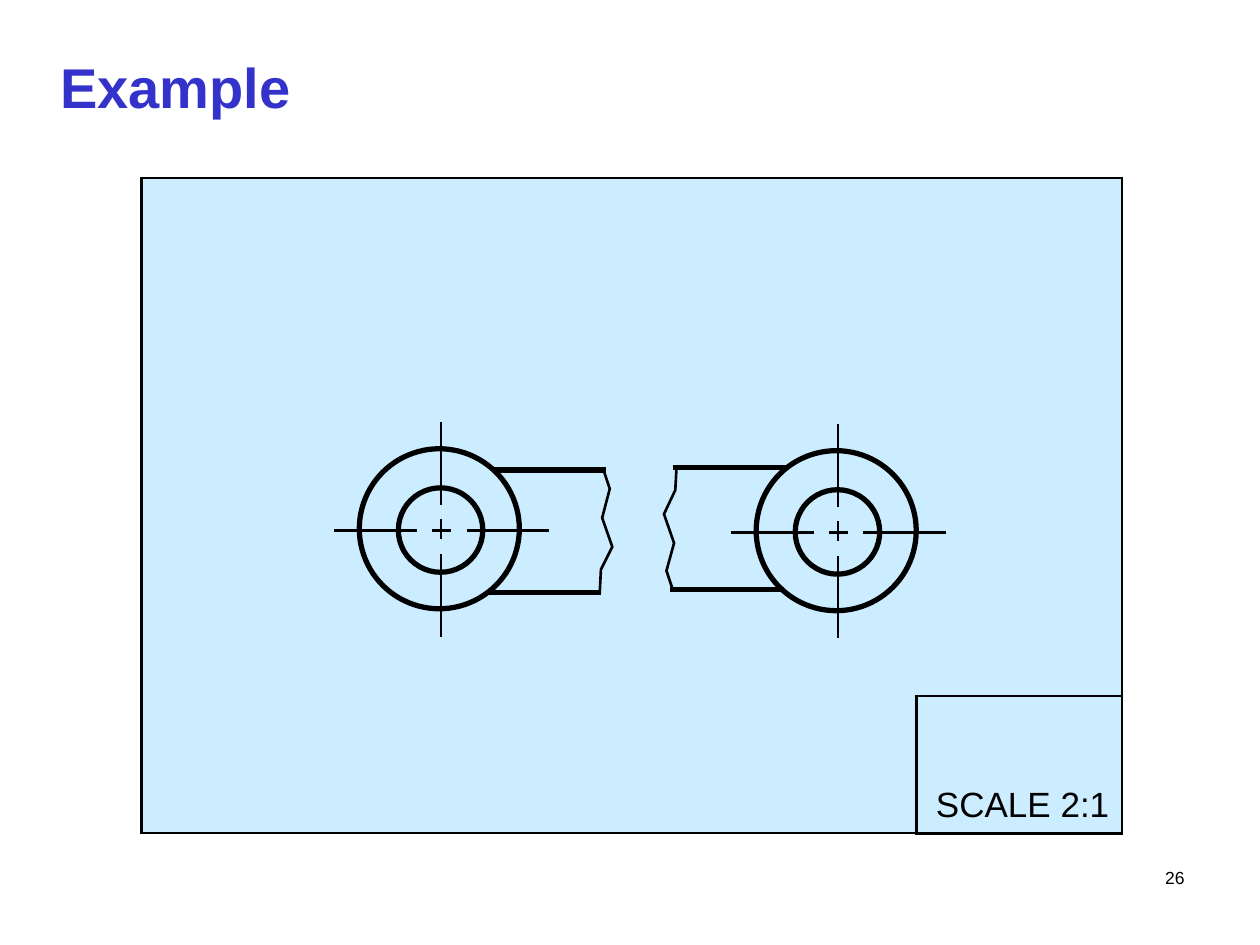
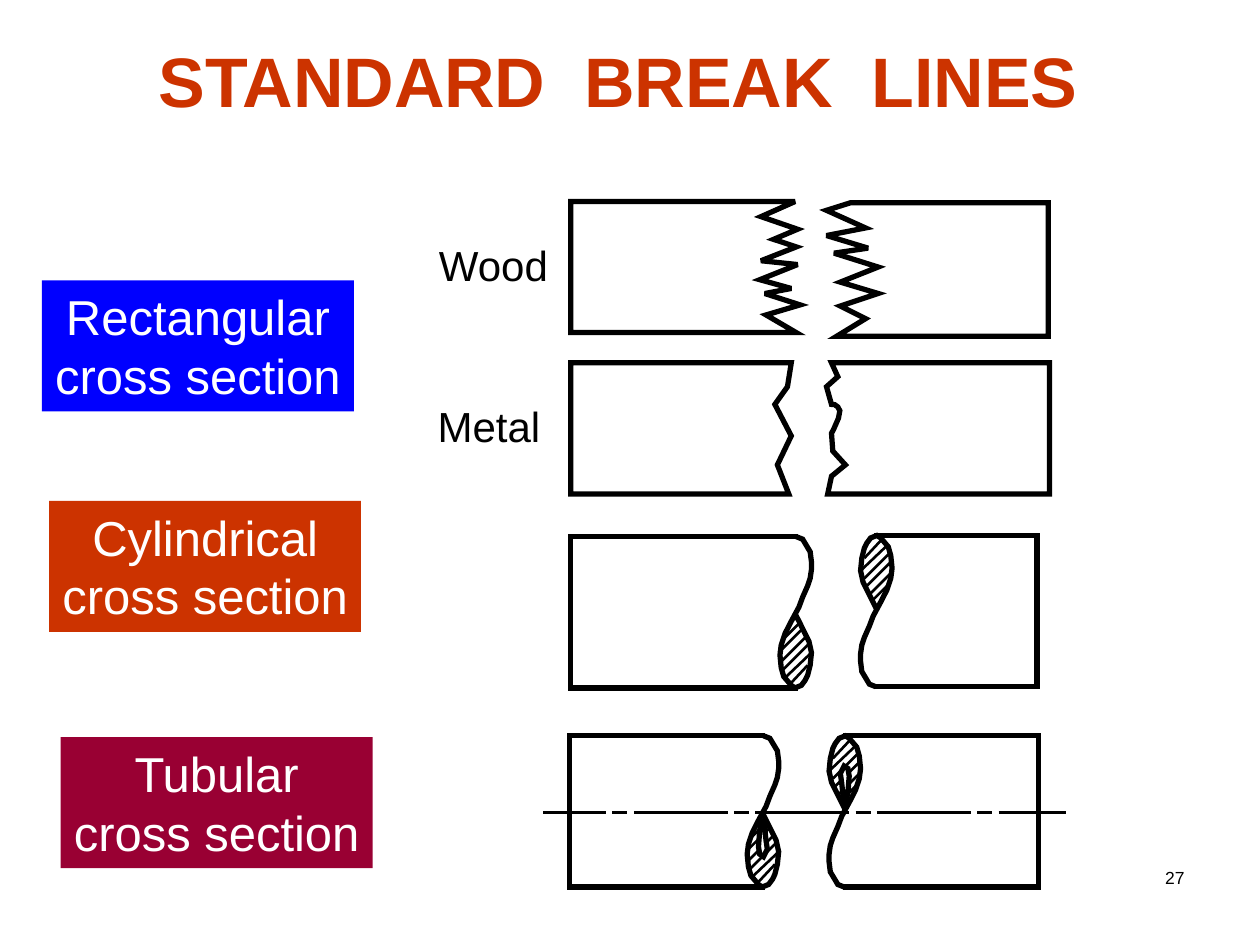
from dataclasses import dataclass

from lxml import etree
from pptx import Presentation
from pptx.dml.color import RGBColor
from pptx.enum.shapes import MSO_CONNECTOR, MSO_SHAPE
from pptx.enum.text import MSO_AUTO_SIZE, PP_ALIGN
from pptx.oxml.ns import qn
from pptx.util import Emu, Inches, Pt

RECT, OVAL = MSO_SHAPE.RECTANGLE, MSO_SHAPE.OVAL
STRAIGHT = MSO_CONNECTOR.STRAIGHT
LEFT, CENTER, RIGHT = PP_ALIGN.LEFT, PP_ALIGN.CENTER, PP_ALIGN.RIGHT
FIT, NO_FIT = MSO_AUTO_SIZE.SHAPE_TO_FIT_TEXT, MSO_AUTO_SIZE.NONE

# The slide is a grid of 100 columns by 75 rows of square cells.
COLS, ROWS = 100, 75
CELL = Inches(0.1)
THIN, THICK = 1.5, 3

COLORS = {
    "ink": "000000", "white": "FFFFFF", "sheet": "CCECFF",
    "indigo": "3333CC", "rust": "CC3300", "blue": "0000FF", "wine": "990033",
}
FORMATS = {
    "heading": {"size": Pt(32), "bold": True},
    "banner": {"size": Pt(40), "bold": True},
    "label": {"size": Pt(28)},
    "material": {"size": Pt(24)},
    "scale": {"size": Pt(20)},
    "number": {"size": Pt(10)},
}

Point = tuple[float, float]


@dataclass(frozen=True)
class Text:
    lines: tuple[str, ...]
    box: tuple[float, float, float, float]
    style: str
    color: str = "ink"
    fill: str | None = None
    align: PP_ALIGN = LEFT
    wrap: bool = False


@dataclass(frozen=True)
class Arm:
    """One end of the broken link: its hub, two edges and break line."""
    hub: Point
    edges: tuple[tuple[float, float, float], ...]
    break_line: tuple[Point, ...]


@dataclass(frozen=True)
class RoundBar:
    """Half of a broken round bar; turn is -1 for the half turned by 180 degrees."""
    center: Point
    end: float
    turn: int
    tubular: bool = False


TITLES = (
    Text(("Example",), (3.8, 3.67, 20.5, 6.4), "heading", "indigo"),
    Text(("STANDARD  BREAK  LINES",), (11.6, 2.47, 75.6, 7.7), "banner", "rust"),
)
SECTIONS = (
    ("Rectangular", 3.33, 22.25, "blue"),
    ("Cylindrical", 3.9, 39.75, "rust"),
    ("Tubular", 4.82, 58.5, "wine"),
)
MATERIALS = (
    Text(("Wood",), (33.85, 18.5, 10.9, 5), "material"),
    Text(("Metal",), (33.75, 31.3, 10.4, 5), "material"),
)
SCALE_NOTE = Text(("SCALE 2:1",), (73.3, 61.65, 16, 4.4), "scale")

ARMS = (
    Arm((35, 42.1), ((39.2, 48.1, 37.3), (38.7, 47.7, 47)),
        ((47.9, 37.3), (48.4, 38.8), (47.8, 41.1), (48.6, 43.4), (47.7, 45.2), (47.6, 47.1))),
    Arm((66.5, 42.25), ((53.4, 62.4, 37.1), (53.2, 62.2, 46.8)),
        ((53.4, 46.8), (52.9, 45.3), (53.5, 43.1), (52.7, 40.8), (53.6, 38.9), (53.7, 37))),
)
# Dashes of a hub's centre lines, measured from the centre
CROSS_DASHES = ((-8.55, -1.95), (-0.8, 0.75), (1.95, 8.5))
DASH_SHIFT = 0.08

FLAT_BARS = {
    "wood left": (
        (63.1, 16), (45.3, 16), (45.3, 26.4), (63.2, 26.4), (60.8, 25), (63.5, 24.2),
        (60.7, 23.3), (62.8, 22.9), (60.3, 22.2), (63.3, 21), (60.4, 20.7), (63.2, 19.6),
        (61.4, 19), (63.3, 18.2), (60.4, 17.2)),
    "wood right": (
        (83.2, 26.7), (66.4, 26.7), (68.7, 25.3), (66.7, 24.3), (69.7, 23.3), (66.7, 22.4),
        (69.7, 21.2), (66.2, 20.1), (68.9, 19.7), (65.6, 18.7), (68.7, 18.1), (65.6, 16.7),
        (67.5, 16.1), (83.2, 16.1)),
    "metal left": (
        (62.8, 28.8), (45.3, 28.8), (45.3, 39.2), (62.6, 39.2), (61.7, 36.9),
        (62.8, 34.6), (61.5, 32.1), (62.5, 30.7)),
    "metal right": (
        (66, 28.8), (83.3, 28.8), (83.3, 39.2), (65.7, 39.2), (66, 37.8), (67.1, 36.9),
        (66.1, 35.8), (66, 34.4), (66.2, 34), (66.55, 33.2), (66.66, 32.6), (66.5, 32.3),
        (66.25, 32.12), (66, 32.1), (65.6, 30.7), (66.5, 29.9)),
}

# Break of a round bar, measured from the bar's axis
BAR_RADIUS = 6
EDGE_OVERLAP = 0.2
BREAK_CURVE = (
    (0.1, -6), (0.6, -5.8), (0.9, -5.3), (1.2, -4.8), (1.3, -4), (1.3, -3.4), (1.2, -2.7),
    (1, -2.1), (0.6, -1.2), (0.3, -0.4), (-0.4, 0.9), (-0.8, 1.7), (-1.1, 2.6), (-1.2, 3.4),
    (-1.1, 4.4), (-0.9, 5.1), (-0.3, 5.8), (0, 6), (0.5, 5.8), (0.8, 5.4), (1, 5),
    (1.2, 4.2), (1.3, 3.2), (1.1, 2.3), (0.6, 1.3), (0.3, 0.7), (0, 0.1))
HATCHES = (
    ((0.4, 0.8), (-1.1, 2.3)), ((0.6, 1.3), (-1.3, 3.2)), ((0.8, 2), (-1.2, 4)),
    ((1, 2.6), (-1, 4.6)), ((1.3, 3.2), (-0.8, 5.2)), ((1, 4.2), (-0.4, 5.7)))
TUBE_BORE = (
    (0, 0.6), (-0.2, 1.5), (-0.3, 2.8), (-0.2, 3.4), (0.1, 3.6), (0.4, 3),
    (0.3, 2.3), (0.2, 1.4))
ROUND_BARS = (
    RoundBar((63.1, 48.6), 45.3, 1),
    RoundBar((69.6, 48.5), 82.3, -1),
    RoundBar((60.5, 64.4), 45.2, 1, tubular=True),
    RoundBar((67.1, 64.4), 82.4, -1, tubular=True),
)
AXIS_ROW, AXIS_START, AXIS_END = 64.5, 43.1, 84.6
AXIS_PHASE, AXIS_PERIOD = 40.65, 9.65
AXIS_DASHES = ((0, 7.45), (7.95, 9.15))


def cells(n: float) -> Emu:
    return Emu(round(n * CELL))


def rgb(name: str) -> RGBColor:
    return RGBColor.from_string(COLORS[name])


def ink(sp, width: float) -> None:
    sp.line.color.rgb = rgb("ink")
    sp.line.width = Pt(width)


def paint(sp, width: float, fill: str | None) -> None:
    """Give a shape its fill and mitred outline, without a shadow."""
    sp.shadow.inherit = False
    if fill:
        sp.fill.solid()
        sp.fill.fore_color.rgb = rgb(fill)
    else:
        sp.fill.background()
    ink(sp, width)
    etree.SubElement(sp.line._get_or_add_ln(), qn("a:miter"), lim="800000")


def draw_shape(slide, kind, box, width: float, fill: str | None = None) -> None:
    paint(slide.shapes.add_shape(kind, *map(cells, box)), width, fill)


def draw_line(slide, start: Point, end: Point, width: float = THIN) -> None:
    sp = slide.shapes.add_connector(STRAIGHT, *map(cells, (*start, *end)))
    ink(sp, width)
    etree.SubElement(sp._element.spPr, qn("a:effectLst"))


def draw_path(slide, points, width: float = THICK, close: bool = False,
              fill: str | None = None) -> None:
    first, *rest = [(cells(x), cells(y)) for x, y in points]
    builder = slide.shapes.build_freeform(*first)
    builder.add_line_segments(rest, close=close)
    paint(builder.convert_to_shape(), width, fill)


def draw_text(slide, text: Text) -> None:
    sp = slide.shapes.add_textbox(*map(cells, text.box))
    if text.fill:
        sp.fill.solid()
        sp.fill.fore_color.rgb = rgb(text.fill)
    tf = sp.text_frame
    tf.word_wrap = text.wrap
    tf.auto_size = NO_FIT if text.wrap else FIT
    for i, line in enumerate(text.lines):
        p = tf.paragraphs[0] if i == 0 else tf.add_paragraph()
        p.alignment = text.align
        r = p.add_run()
        r.text = line
        r.font.color.rgb = rgb(text.color)
        for name, value in {"name": "Arial", **FORMATS[text.style]}.items():
            setattr(r.font, name, value)


def add_slide(prs, title: Text, number: int):
    slide = prs.slides.add_slide(prs.slide_layouts[6])
    draw_text(slide, title)
    draw_text(slide, Text((str(number),), (71.7, 68.3, 23.3, 5), "number",
                          align=RIGHT, wrap=True))
    return slide


def draw_arm(slide, arm: Arm) -> None:
    x, y = arm.hub
    for diameter, shift in ((6.7, 0.03), (12.7, 0.13)):
        corner = diameter / 2 + shift
        draw_shape(slide, OVAL, (x - corner, y - corner, diameter, diameter), THICK)
    for a, b in CROSS_DASHES:
        draw_line(slide, (x + a + DASH_SHIFT, y), (x + b + DASH_SHIFT, y))
        draw_line(slide, (x, y + a - DASH_SHIFT), (x, y + b - DASH_SHIFT))
    for left, right, row in arm.edges:
        draw_line(slide, (left, row), (right, row), THICK)
    draw_path(slide, arm.break_line, THIN)


def draw_round_bar(slide, bar: RoundBar) -> None:
    x, y = bar.center

    def place(points) -> list[Point]:
        return [(x + bar.turn * dx, y + bar.turn * dy) for dx, dy in points]

    top, bottom = y - BAR_RADIUS, y + BAR_RADIUS
    edge = x + bar.turn * EDGE_OVERLAP
    draw_path(slide, ((edge, top), (bar.end, top), (bar.end, bottom), (edge, bottom)))
    draw_path(slide, place(BREAK_CURVE))
    for hatch in HATCHES:
        draw_line(slide, *place(hatch))
    if bar.tubular:
        draw_path(slide, place(TUBE_BORE), close=True, fill="white")


def draw_axis(slide) -> None:
    """Draw the long and short dashes of the tube's centre line."""
    for i in range(5):
        for a, b in AXIS_DASHES:
            start, end = (AXIS_PHASE + i * AXIS_PERIOD + d for d in (a, b))
            if start < AXIS_END:
                draw_line(slide, (max(start, AXIS_START), AXIS_ROW),
                          (min(end, AXIS_END), AXIS_ROW))


def build_example(prs) -> None:
    slide = add_slide(prs, TITLES[0], 26)
    draw_shape(slide, RECT, (11.25, 14.13, 77.8, 52), THIN, "sheet")
    draw_shape(slide, RECT, (72.75, 55.23, 16.3, 10.9), THIN)
    for arm in ARMS:
        draw_arm(slide, arm)
    draw_text(slide, SCALE_NOTE)


def build_break_lines(prs) -> None:
    slide = add_slide(prs, TITLES[1], 27)
    for name, col, row, fill in SECTIONS:
        draw_text(slide, Text((name, "cross section"), (col, row, 24.75, 10.4),
                              "label", "white", fill, CENTER))
    for material in MATERIALS:
        draw_text(slide, material)
    for outline in FLAT_BARS.values():
        draw_path(slide, outline, close=True)
    for bar in ROUND_BARS:
        draw_round_bar(slide, bar)
    draw_axis(slide)


def main() -> None:
    prs = Presentation()
    prs.slide_width, prs.slide_height = cells(COLS), cells(ROWS)
    build_example(prs)
    build_break_lines(prs)
    prs.save("out.pptx")


if __name__ == "__main__":
    main()
